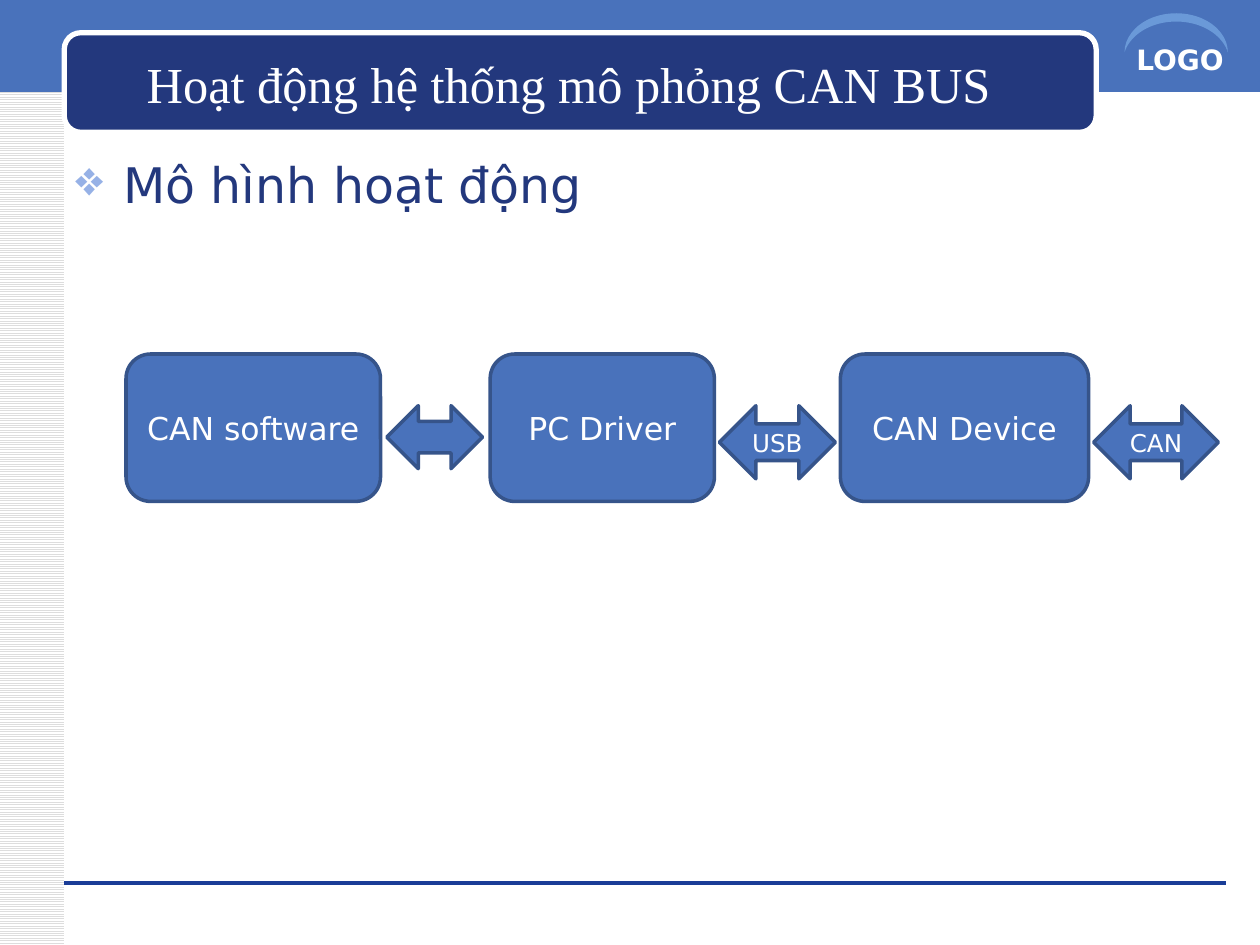
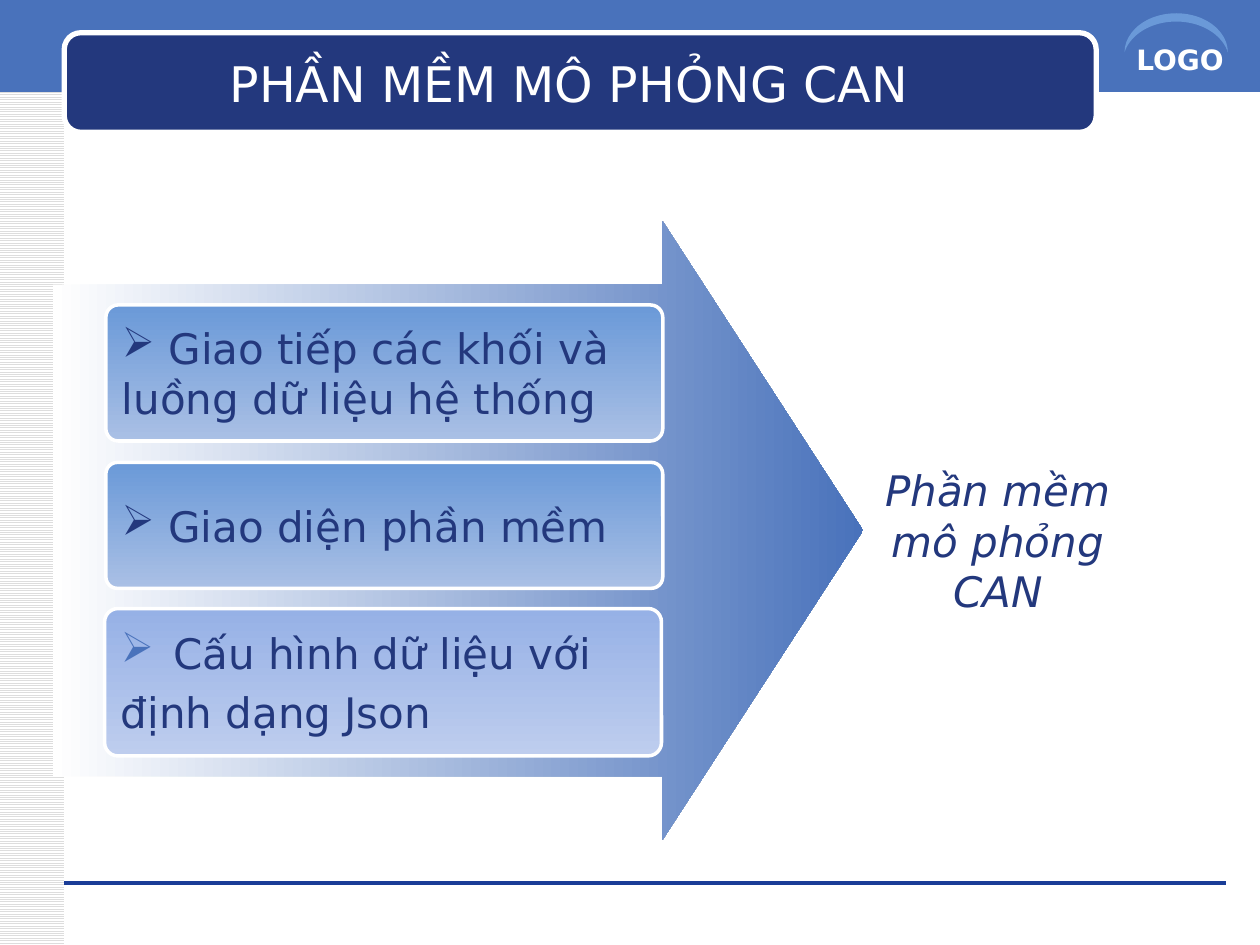
from lxml import etree
from pptx import Presentation
from pptx.dml.color import RGBColor
from pptx.enum.dml import MSO_PATTERN
from pptx.enum.shapes import MSO_CONNECTOR, MSO_SHAPE
from pptx.enum.text import MSO_ANCHOR, PP_ALIGN
from pptx.oxml.ns import qn
from pptx.util import Inches, Pt

WHITE = RGBColor(0xFF, 0xFF, 0xFF)
GREY = RGBColor(0xDD, 0xDD, 0xDD)
NAVY = RGBColor(0x23, 0x38, 0x7D)
RULE = RGBColor(0x1A, 0x3D, 0x97)
BLUE = RGBColor(0x49, 0x72, 0xBB)
EDGE = RGBColor(0x36, 0x54, 0x8A)
SKY = RGBColor(0x6A, 0x99, 0xD8)
PALE = RGBColor(0xAA, 0xC0, 0xE5)
LILAC = RGBColor(0x96, 0xB1, 0xE6)
MIST = RGBColor(0xBE, 0xCD, 0xEE)

RECT = MSO_SHAPE.RECTANGLE
ROUND = MSO_SHAPE.ROUNDED_RECTANGLE
MOON = MSO_SHAPE.MOON
DOUBLE = MSO_SHAPE.LEFT_RIGHT_ARROW
ARROW = MSO_SHAPE.RIGHT_ARROW
STRAIGHT = MSO_CONNECTOR.STRAIGHT
HATCH = MSO_PATTERN.LIGHT_HORIZONTAL
LEFT, CENTER = PP_ALIGN.LEFT, PP_ALIGN.CENTER
TOP, MIDDLE = MSO_ANCHOR.TOP, MSO_ANCHOR.MIDDLE
SANS, SERIF = "DejaVu Sans", "Times New Roman"


class Deck:
    """Holds the presentation, its style and the current slide."""

    def __init__(self):
        self.file = Presentation()
        self.file.slide_width = Inches(10)
        self.file.slide_height = Inches(7.5)
        self.slide = None

    def page(self, title, size=28, font=SANS):
        self.slide = self.file.slides.add_slide(self.file.slide_layouts[6])
        side = self.shape(RECT, (0, 0, 0.51, 7.5)).fill
        side.patterned()
        side.pattern = HATCH
        side.fore_color.rgb = GREY
        side.back_color.rgb = WHITE
        self.shape(RECT, (0, -0.03, 10, 0.76), BLUE)
        self.rule(0.51, 9.73, 7.01)
        self.shape(ROUND, (0.51, 0.26, 8.19, 0.79), NAVY, WHITE, 3)
        logo = self.label((8.92, 0.29, 1.08, 0.37), "LOGO", 16, WHITE)
        logo.font.bold = True
        moon = self.shape(MOON, (9.18, -0.15, 0.31, 0.82), SKY, adjust=[0.212])
        moon.rotation = 90
        self.label((0.6, 0.35, 7.83, 0.62), title, size, WHITE, CENTER, MIDDLE, font)

    def rule(self, left, right, top):
        line = self.slide.shapes.add_connector(
            STRAIGHT, Inches(left), Inches(top), Inches(right), Inches(top))
        line.line.color.rgb = RULE
        line.line.width = Pt(0)
        etree.SubElement(line._element.spPr, qn("a:effectLst"))

    def shape(self, kind, place, fill=None, edge=None, width=2, adjust=()):
        shape = self.slide.shapes.add_shape(kind, *map(Inches, place))
        shape.shadow.inherit = False
        for i, value in enumerate(adjust):
            shape.adjustments[i] = value
        if fill:
            shape.fill.solid()
            shape.fill.fore_color.rgb = fill
        if edge:
            shape.line.color.rgb = edge
            shape.line.width = Pt(width)
        else:
            shape.line.fill.background()
        return shape

    def blend(self, shape, first, last, angle):
        shape.fill.gradient()
        shape.fill.gradient_angle = angle
        for stop, color in zip(shape.fill.gradient_stops, (first, last)):
            stop.color.rgb = color

    def words(self, shape, text, size, color, align=LEFT, anchor=MIDDLE, font=SANS):
        frame = shape.text_frame
        frame.word_wrap = True
        frame.vertical_anchor = anchor
        frame.text = text
        for para in frame.paragraphs:
            para.alignment = align
            para.font.size = Pt(size)
            para.font.name = font
            para.font.color.rgb = color
        return frame.paragraphs[0]

    def label(self, place, text, size, color, align=LEFT, anchor=TOP, font=SANS):
        box = self.slide.shapes.add_textbox(*map(Inches, place))
        return self.words(box, text, size, color, align, anchor, font)

    def bullet(self, para, mark, color=None, indent=0):
        props = para._p.get_or_add_pPr()
        props.set("marL", str(Inches(indent)))
        props.set("indent", str(-Inches(indent)))
        if color:
            tint = etree.Element(qn("a:buClr"))
            etree.SubElement(tint, qn("a:srgbClr"), val=str(color))
            self.insert(props, tint)
        self.insert(props, etree.Element(qn("a:buChar"), char=mark))

    def insert(self, props, item):
        rest = props.find(qn("a:defRPr"))
        if rest is None:
            props.append(item)
        else:
            rest.addprevious(item)

    def block(self, kind, place, text, size):
        shape = self.shape(kind, place, BLUE, EDGE)
        if text:
            self.words(shape, text, size, WHITE, CENTER)

    def card(self, place, text, first, last):
        shape = self.shape(ROUND, place, edge=WHITE, adjust=[0.091])
        self.blend(shape, first, last, 270)
        self.words(shape, text, 24, NAVY)
        return shape.text_frame.paragraphs


def model(deck):
    deck.page("Hoạt động hệ thống mô phỏng CAN BUS", 28.8, SERIF)
    head = deck.label((0.5, 1.18, 9, 5.74), "Mô hình hoạt động", 28, NAVY)
    head.space_before = Pt(5.6)
    deck.bullet(head, "❖", LILAC, 0.38)
    for left, width, text in ((1, 2.02, "CAN software"),
                              (3.89, 1.78, "PC Driver"),
                              (6.67, 1.97, "CAN Device")):
        deck.block(ROUND, (left, 2.81, width, 1.17), text, 18)
    for left, width, height, text in ((3.07, 0.76, 0.5, ""),
                                      (5.71, 0.92, 0.58, "USB"),
                                      (8.68, 0.99, 0.58, "CAN")):
        deck.block(DOUBLE, (left, 3.22, width, height), text, 14)


def parts(deck):
    deck.page("PHẦN MỀM MÔ PHỎNG CAN")
    arrow = deck.shape(ARROW, (0.42, 1.75, 6.43, 4.92), adjust=[0.793, 0.324])
    deck.blend(arrow, WHITE, BLUE, 0)
    for top, height, text in (
            (2.42, 1.08, " Giao tiếp các khối và\nluồng dữ liệu hệ thống"),
            (3.67, 1, " Giao diện phần mềm")):
        paras = deck.card((0.84, top, 4.42, height), text, SKY, PALE)
        deck.bullet(paras[0], "➢")
    paras = deck.card((0.83, 4.83, 4.42, 1.17),
                      " Cấu hình dữ liệu với\nđịnh dạng Json", LILAC, MIST)
    for para in paras:
        para.space_before = Pt(4.8)
    deck.bullet(paras[0], "➢", BLUE, 0.31)
    goal = deck.label((6.67, 3.5, 2.5, 1.58), "Phần mềm mô phỏng CAN",
                      24, NAVY, CENTER, MIDDLE)
    goal.font.italic = True


def main():
    deck = Deck()
    model(deck)
    parts(deck)
    deck.file.save("out.pptx")


if __name__ == "__main__":
    main()
